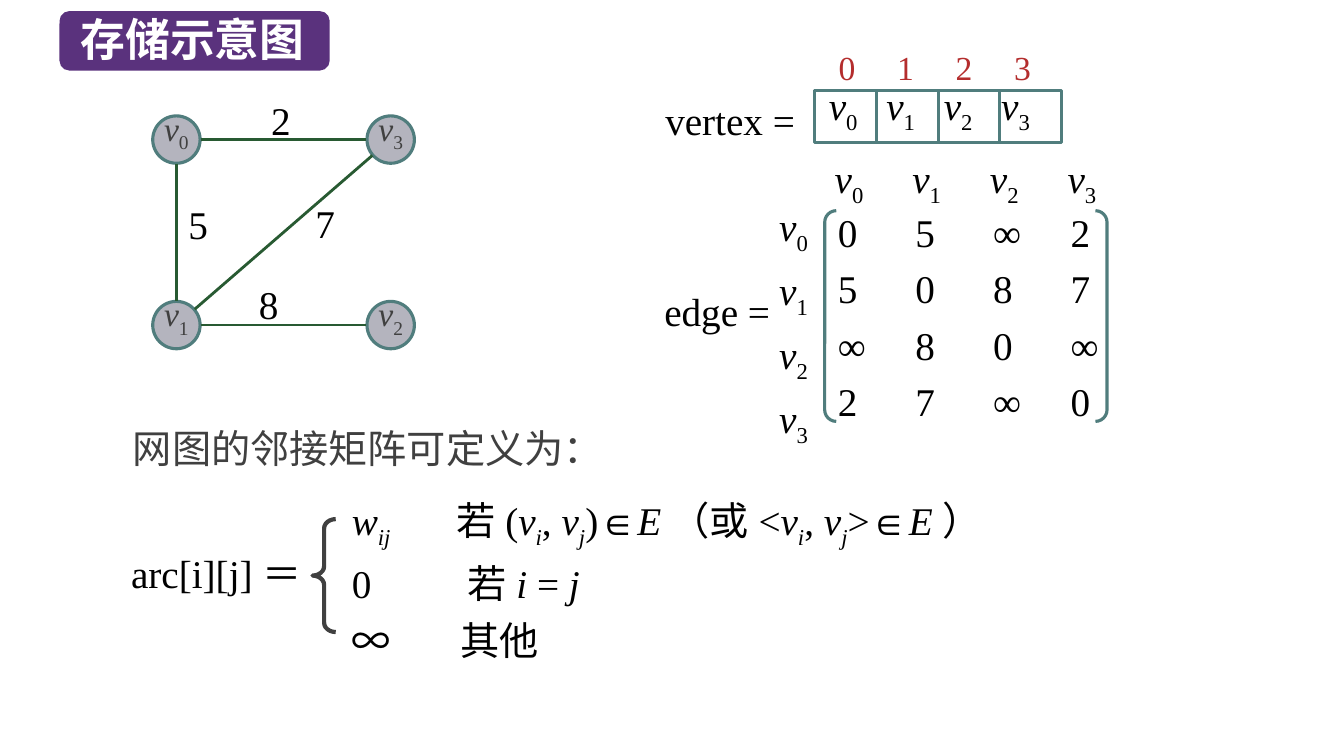
from math import hypot
from lxml import etree
from pptx import Presentation
from pptx.dml.color import RGBColor
from pptx.enum.shapes import MSO_CONNECTOR, MSO_SHAPE
from pptx.enum.text import MSO_ANCHOR, MSO_AUTO_SIZE, PP_ALIGN
from pptx.oxml.ns import qn
from pptx.util import Inches, Pt

LINE = MSO_CONNECTOR.STRAIGHT
RECT, ROUND, OVAL = MSO_SHAPE.RECTANGLE, MSO_SHAPE.ROUNDED_RECTANGLE, MSO_SHAPE.OVAL
PAIR, BRACE = MSO_SHAPE.DOUBLE_BRACKET, MSO_SHAPE.LEFT_BRACE
JUST, MID = PP_ALIGN.JUSTIFY, PP_ALIGN.CENTER
TIMES, SANS = "Times New Roman", "Noto Sans CJK SC"
BLACK, GRAY, WHITE, RED = "000000", "404040", "FFFFFF", "B42D2D"
TEAL, GREEN, SILVER, PURPLE = "507D7D", "285A32", "B4B4BE", "5A327D"


def name(sub, base="v"):
    """Runs of an italic letter with an upright index."""
    return [(base, "i"), (sub, "s")]


def pair(left, right):
    """Runs of an edge between v_i and v_j in the given brackets."""
    return [(left, ""), ("v", "i"), ("i", "is"), (", ", ""), ("v", "i"),
            ("j", "is"), (right + "∈", ""), ("E", "i")]


# Content: style i is italic, s is subscript
TITLE = "存储示意图"
LEAD = "网图的邻接矩阵可定义为："
NODES = [(1.75, 1.385), (1.75, 3.225), (3.875, 3.225), (3.875, 1.385)]
EDGES = [(0, 3), (0, 1), (1, 3), (1, 2)]
COSTS = [("2", 2.59, 0.91), ("7", 3.03, 1.93), ("8", 2.47, 2.73), ("5", 1.77, 1.94)]
MATRIX = ["05∞2", "5087", "∞80∞", "27∞0"]
CASES = [
    (1.04, [("w", "i"), ("ij", "is"), ("\t", "")] + pair("若(", ")")
     + [("（或", "")] + pair("<", ">") + [("）", "")]),
    (1.15, [("0\t若", ""), ("i ", "i"), ("= ", ""), ("j", "i")]),
    (1.08, [("∞\t其他", "")]),
]
NAMES = [name(str(n)) for n in range(4)]
R, GAP = 0.235, 0.24
CELL_X, CELL_Y, CELL_W, CELL_H = 8.08, 0.9, 0.6125, 0.51
COL = 0.77

deck = Presentation()
deck.slide_width, deck.slide_height = Inches(13.33), Inches(7.5)
slide = deck.slides.add_slide(deck.slide_layouts[6])


def color(code):
    return RGBColor.from_string(code)


def tabbed(items):
    """Join lists of runs with a tab between them."""
    out = []
    for n, item in enumerate(items):
        out += ([("\t", "")] if n else []) + item
    return out


def write(box, rows, size=28, ink=BLACK, font=TIMES, ins=(0.1, 0.05, 0.1, 0.05),
          tabs=(), gap=None, align=None, grow=True, wrap=True, bold=False):
    """Fill a box; tabs holds one list of stops per row."""
    frame = box.text_frame
    frame.word_wrap, frame.vertical_anchor = wrap, MSO_ANCHOR.TOP
    frame.auto_size = MSO_AUTO_SIZE.SHAPE_TO_FIT_TEXT if grow else MSO_AUTO_SIZE.NONE
    (frame.margin_left, frame.margin_top,
     frame.margin_right, frame.margin_bottom) = map(Inches, ins)
    for n, row in enumerate(rows):
        para = frame.add_paragraph() if n else frame.paragraphs[0]
        para.alignment = align or PP_ALIGN.LEFT
        if gap:
            para.line_spacing = gap
        if tabs:
            stops = etree.SubElement(para._p.get_or_add_pPr(), qn("a:tabLst"))
            for stop in tabs[n]:
                etree.SubElement(stops, qn("a:tab"), pos=str(Inches(stop)), algn="l")
        for text, style in row:
            run = para.add_run()
            run.text = text
            face = run.font
            face.size, face.name, face.bold = Pt(size), font, bold
            face.italic = "i" in style
            face.color.rgb = color(ink)
            props = run._r.get_or_add_rPr()
            etree.SubElement(props, qn("a:ea"), typeface=SANS)
            if "s" in style:
                props.set("baseline", "-25000")


def label(x, y, w, h, rows, **look):
    box = slide.shapes.add_textbox(Inches(x), Inches(y), Inches(w), Inches(h))
    if isinstance(rows, str):
        rows = [[(rows, "")]]
    write(box, rows, **look)


def shape(kind, x, y, w, h, fill=None, line=None, width=2.25, adj=()):
    item = slide.shapes.add_shape(kind, Inches(x), Inches(y), Inches(w), Inches(h))
    item.shadow.inherit = False
    if fill:
        item.fill.solid()
        item.fill.fore_color.rgb = color(fill)
    else:
        item.fill.background()
    if line:
        item.line.color.rgb, item.line.width = color(line), Pt(width)
    else:
        item.line.fill.background()
    for n, value in enumerate(adj):
        item.adjustments[n] = value
    return item


def link(x1, y1, x2, y2, ink, width):
    item = slide.shapes.add_connector(LINE, *map(Inches, (x1, y1, x2, y2)))
    item.line.color.rgb, item.line.width = color(ink), Pt(width)
    etree.SubElement(item._element.spPr, qn("a:effectLst"))
    return item


def steps(pitch):
    return [pitch * n for n in (1, 2, 3)]


# Vertex array
cells = shape(RECT, CELL_X, CELL_Y, 4 * CELL_W, CELL_H, line=TEAL)
write(cells, [tabbed(NAMES)], ins=(0.14, 0.05, 0, 0.05), tabs=[steps(0.57)], gap=Pt(28))
for n in (1, 2, 3):
    x = CELL_X + n * CELL_W
    rule = link(x, CELL_Y, x, CELL_Y + CELL_H, TEAL, 2.25)
    if n == 2:
        rule.begin_connect(cells, 0)
        rule.end_connect(cells, 2)
label(6.5, 0.91, 1.6, 0.57, "vertex =")
label(8.22, 0.42, 2.32, 0.5, "0\t1\t2\t3", size=24, ink=RED, tabs=[steps(0.58)])

# Edge matrix
label(8.31, 1.96, 2.93, 2.24, [[("\t".join(row), "")] for row in MATRIX],
      ins=(0, 0.01, 0, 0.01), tabs=[steps(COL)] * 4, gap=1.2, align=JUST, grow=False)
shape(PAIR, 8.18, 2.09, 2.8, 2.09, line=TEAL, adj=[0.055])
label(6.49, 2.8, 1.26, 0.57, "edge =", wrap=False)
label(8.18, 1.48, 3.06, 0.57, [tabbed(NAMES)], tabs=[steps(COL)])
label(7.63, 1.85, 0.66, 2.31, NAMES, gap=1.2)

# Weighted graph
for (x, y), runs in zip(NODES, NAMES):
    node = shape(OVAL, x - R, y - R, 2 * R, 2 * R, SILVER, TEAL)
    write(node, [runs], size=24, ink=GRAY, ins=(0, 0, 0, 0), gap=Pt(22),
          align=MID, grow=False)
for a, b in EDGES:
    (x1, y1), (x2, y2) = NODES[a], NODES[b]
    part = GAP / hypot(x2 - x1, y2 - y1)
    dx, dy = part * (x2 - x1), part * (y2 - y1)
    link(x1 + dx, y1 + dy, x2 - dx, y2 - dy, GREEN, 2)
for cost, x, y in COSTS:
    label(x, y, 0.66, 0.57, cost)

# Definition
FLUSH = (0, 0.05, 0, 0.05)
label(1.22, 4.16, 8.25, 0.57, LEAD, ink=GRAY, font=SANS)
label(1.3, 5.4, 1.83, 0.57, [[("arc[i][j]", ""), ("＝", "")]], ins=FLUSH)
label(3.49, 4.77, 6.87, 1.75, [runs for _, runs in CASES], ins=FLUSH,
      tabs=[[stop] for stop, _ in CASES], gap=1.2, align=JUST, grow=False)
shape(BRACE, 3.1, 5.15, 0.23, 1.12, line=GRAY, width=3, adj=[0.402, 0.5])

# Title
shape(ROUND, 0.59, 0.11, 2.68, 0.59, PURPLE)
label(0.7, 0.07, 2.55, 0.64, TITLE, size=32, ink=WHITE, font=SANS, bold=True)

deck.save("out.pptx")
